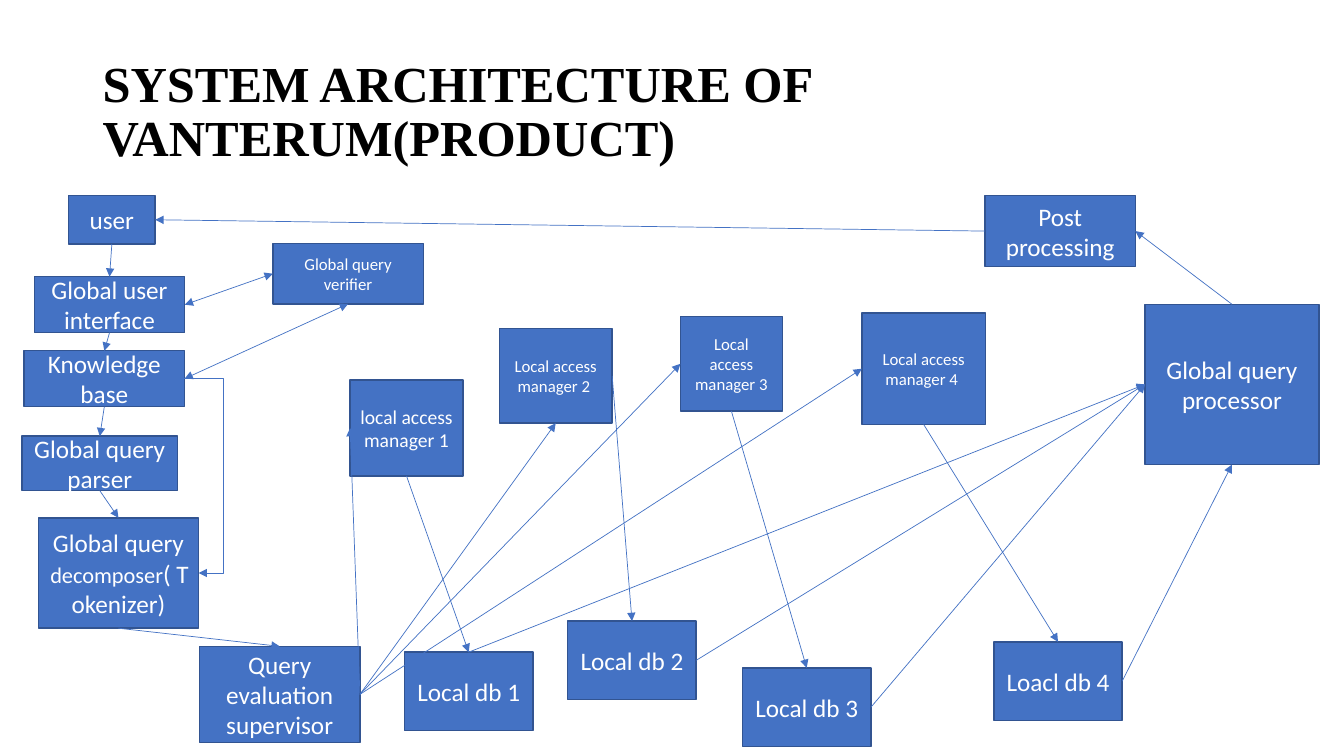
from dataclasses import dataclass

from lxml import etree
from pptx import Presentation
from pptx.dml.color import RGBColor
from pptx.enum.shapes import MSO_CONNECTOR, MSO_SHAPE
from pptx.enum.text import MSO_ANCHOR, MSO_AUTO_SIZE, PP_ALIGN
from pptx.oxml.ns import qn
from pptx.util import Inches, Pt

RECT = MSO_SHAPE.RECTANGLE
LINE, BENT = MSO_CONNECTOR.STRAIGHT, MSO_CONNECTOR.ELBOW
LEFT, CENTER = PP_ALIGN.LEFT, PP_ALIGN.CENTER
MIDDLE, FIXED = MSO_ANCHOR.MIDDLE, MSO_AUTO_SIZE.NONE

WIDE, HIGH = Inches(13.333), Inches(7.5)
BLUE, EDGE, WHITE, BLACK = "4472C4", "325491", "FFFFFF", "000000"
TOP, WEST, BASE, EAST = range(4)  # connection sites of a rectangle


@dataclass
class Box:
    """A labelled rectangle; place is in percent of the slide's size."""
    key: str
    label: str | list[tuple[str, float]]
    place: tuple[float, float, float, float]
    size: float = 18


@dataclass
class Link:
    """An arrow from one side of a box to a side of another."""
    start: str
    out: int
    end: str
    into: int
    both: bool = False
    bend: float | None = None


STEP, UNIT = 11.93, 11.2  # common box widths
BOXES = [
    # Query pipeline
    Box("user", "user", (5.1, 25.87, 6.45, 6.4)),
    Box("face", "Global user interface", (2.55, 36.6, UNIT, 7.4)),
    Box("base", "Knowledge base", (1.8, 46.4, STEP, 7.4)),
    Box("parse", "Global query parser", (1.65, 57.7, 11.55, 7.2)),
    Box("split", [("Global query ", 18), ("decomposer", 16), ("( Tokenizer)", 18)],
        (2.85, 68.5, STEP, 14.6)),
    Box("judge", "Query evaluation supervisor", (14.85, 85.5, STEP, 12.7)),
    # Local access managers
    Box("man1", "local access manager 1", (26.05, 50.27, 8.4, 12.7), 14),
    Box("man2", "Local access manager 2 ", (37.15, 43.47, 8.4, 12.5), 12),
    Box("man3", "Local access manager 3", (50.63, 41.87, 7.58, 12.5), 12),
    Box("man4", "Local access manager 4 ", (64.13, 41.4, 9.2, 14.75), 12),
    # Local databases
    Box("db1", "Local db 1", (30.1, 86.27, 9.55, 10.4)),
    Box("db2", "Local db 2", (42.25, 82.15, 9.55, 10.4)),
    Box("db3", "Local db 3", (55.25, 88.35, 9.55, 10.4)),
    Box("db4", "Loacl db 4", (73.95, 84.9, 9.55, 10.4)),
    # Results and checking
    Box("proc", "Global query processor", (85.2, 40.25, 12.93, 21.2)),
    Box("post", "Post processing", (73.28, 25.87, UNIT, 9.4)),
    Box("check", "Global query verifier", (20.3, 32.2, UNIT, 8), 12),
]

CHAIN = ["user", "face", "base", "parse", "split", "judge"]
LINKS = [
    *(Link(a, BASE, b, TOP) for a, b in zip(CHAIN, CHAIN[1:])),
    Link("base", EAST, "split", EAST, bend=2.73),
    # Supervisor to managers
    *(Link("judge", EAST, f"man{n}", side)
      for n, side in enumerate([WEST, BASE, WEST, WEST], 1)),
    # Managers to databases
    *(Link(f"man{n}", side, f"db{n}", TOP)
      for n, side in enumerate([BASE, EAST, BASE, BASE], 1)),
    # Databases to processor, then back to the user
    Link("db1", TOP, "proc", WEST),
    Link("db2", EAST, "proc", WEST),
    Link("db3", EAST, "proc", WEST),
    Link("db4", EAST, "proc", BASE),
    Link("proc", TOP, "post", EAST),
    Link("post", WEST, "user", EAST),
    # Two-way checks
    Link("base", EAST, "check", BASE, both=True),
    Link("face", EAST, "check", WEST, both=True),
]


def paint(code: str) -> RGBColor:
    return RGBColor.from_string(code)


def span(place: tuple) -> list[int]:
    """Turn percent shares into lengths."""
    return [round(part * full / 100)
            for part, full in zip(place, (WIDE, HIGH, WIDE, HIGH))]


def write(shape, text, *, size=18, font="Calibri", color=WHITE,
          bold=False, align=CENTER, space=1.0) -> None:
    frame = shape.text_frame
    frame.word_wrap = True
    frame.auto_size = FIXED
    frame.vertical_anchor = MIDDLE
    para = frame.paragraphs[0]
    para.alignment = align
    para.line_spacing = space
    for part, points in [(text, size)] if isinstance(text, str) else text:
        run = para.add_run()
        run.text = part
        run.font.size = Pt(points)
        run.font.name = font
        run.font.bold = bold
        run.font.color.rgb = paint(color)


def draw_box(slide, box: Box):
    shape = slide.shapes.add_shape(RECT, *span(box.place))
    shape.shadow.inherit = False
    shape.fill.solid()
    shape.fill.fore_color.rgb = paint(BLUE)
    shape.line.color.rgb = paint(EDGE)
    shape.line.width = Pt(1)
    write(shape, box.label, size=box.size)
    return shape


def draw_link(slide, link: Link, boxes: dict) -> None:
    kind = LINE if link.bend is None else BENT
    wire = slide.shapes.add_connector(kind, 0, 0, 0, 0)
    wire.begin_connect(boxes[link.start], link.out)
    wire.end_connect(boxes[link.end], link.into)
    wire.line.color.rgb = paint(BLUE)
    wire.line.width = Pt(0.5)
    # Arrowheads, bend and no shadow
    props = wire.element.spPr
    stroke = props.find(qn("a:ln"))
    for tag in ["a:headEnd", "a:tailEnd"] if link.both else ["a:tailEnd"]:
        etree.SubElement(stroke, qn(tag), type="triangle")
    if link.bend is not None:
        guides = props.find(qn("a:prstGeom")).find(qn("a:avLst"))
        etree.SubElement(guides, qn("a:gd"), name="adj1",
                         fmla=f"val {round(link.bend * 100000)}")
    etree.SubElement(props, qn("a:effectLst"))


def main() -> None:
    deck = Presentation()
    deck.slide_width, deck.slide_height = WIDE, HIGH
    slide = deck.slides.add_slide(deck.slide_layouts[5])

    # Title
    title = slide.shapes.title
    title.left, title.top, title.width, title.height = span((6.88, 5.33, 86.25, 19.33))
    write(title, "SYSTEM ARCHITECTURE OF VANTERUM(PRODUCT)", size=36,
          font="Times New Roman", color=BLACK, bold=True, align=LEFT, space=0.9)

    # Diagram
    boxes = {box.key: draw_box(slide, box) for box in BOXES}
    for link in LINKS:
        draw_link(slide, link, boxes)

    deck.save("out.pptx")


if __name__ == "__main__":
    main()
